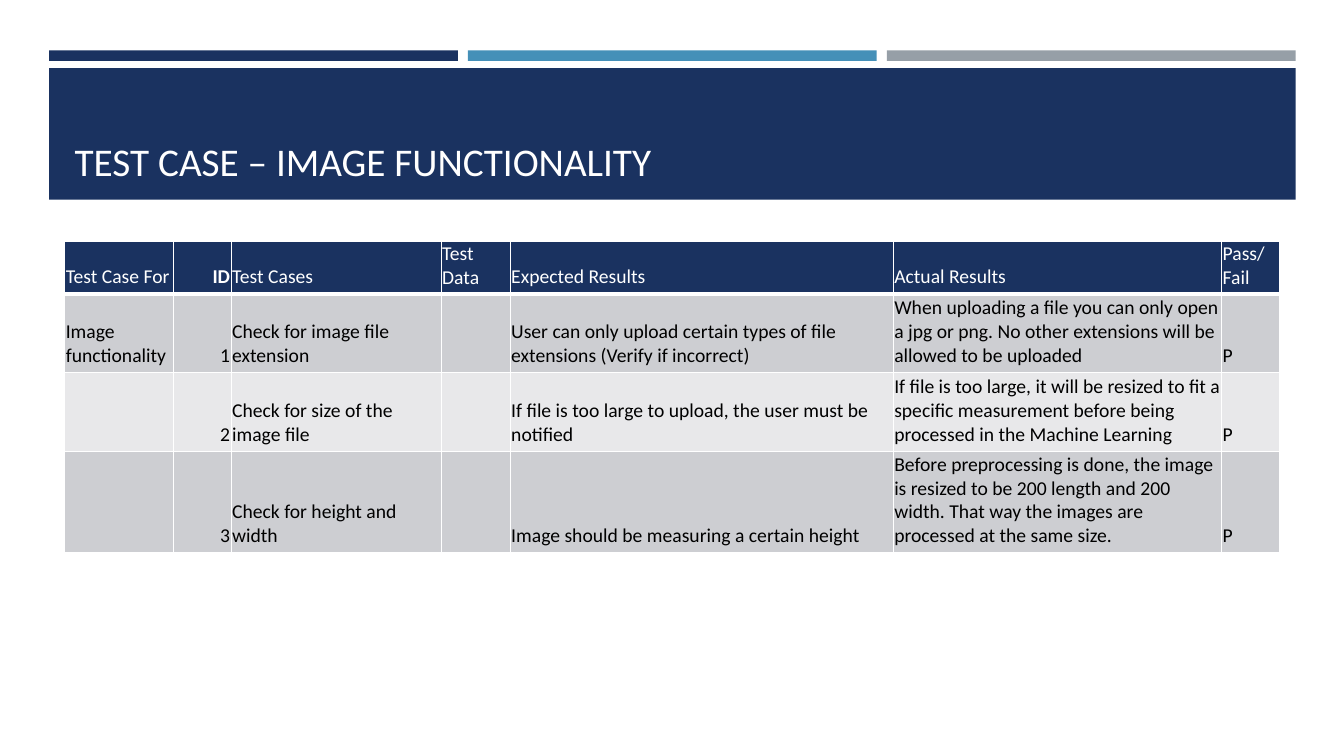
from lxml.etree import SubElement
from pptx import Presentation
from pptx.dml.color import RGBColor
from pptx.enum.shapes import MSO_SHAPE as Shape
from pptx.enum.text import MSO_ANCHOR as Anchor, PP_ALIGN as Align
from pptx.oxml.ns import qn
from pptx.util import Inches, Pt

NAVY, BLUE, GREY, WHITE, BLACK = "1A3260", "4590B8", "969FA7", "FFFFFF", "000000"
ROW_FILLS = [NAVY, "CDCED2", "E8E8EA", "CDCED2"]


def paint(color_format, color):
    color_format.rgb = RGBColor.from_string(color)


def add_rectangle(left, top, width, height, color):
    shape = slide.shapes.add_shape(Shape.RECTANGLE, int(left), int(top), int(width), int(height))
    shape.shadow.inherit = False
    shape.fill.solid()
    paint(shape.fill.fore_color, color)
    shape.line.fill.background()


presentation = Presentation()
presentation.slide_width = Inches(13.33)
presentation.slide_height = Inches(7.5)
slide = presentation.slides.add_slide(presentation.slide_layouts[6])

# Grid: one hundredth of the slide's width and height
across = presentation.slide_width / 100
down = presentation.slide_height / 100

# Three accent bars spanning the title band
band_left, band_width, gap = 3.65 * across, 92.75 * across, 0.75 * across
bar_width = (band_width - 2 * gap) / 3
for index, color in enumerate([NAVY, BLUE, GREY]):
    add_rectangle(band_left + index * (bar_width + gap), 6.67 * down, bar_width, 1.4 * down, color)

# Title band
add_rectangle(band_left, 9 * down, band_width, 17.4 * down, NAVY)
title = slide.shapes.add_textbox(int(4.82 * across), int(10.27 * down),
                                 int(90.4 * across), int(14.8 * down))
title.text_frame.word_wrap = True
title.text_frame.vertical_anchor = Anchor.BOTTOM
run = title.text_frame.paragraphs[0].add_run()
run.text = "TEST CASE – IMAGE FUNCTIONALITY"
run.font.name, run.font.size = "Calibri", Pt(28)
paint(run.font.color, WHITE)

# Test case table
test_cases = [
    ["Test Case For", "ID", "Test Cases", "Test Data", "Expected Results", "Actual Results", "Pass/Fail"],
    ["Image functionality", "1", "Check for image file extension", "",
     "User can only upload certain types of file extensions (Verify if incorrect)",
     "When uploading a file you can only open a jpg or png. "
     "No other extensions will be allowed to be uploaded", "P"],
    ["", "2", "Check for size of the image file", "",
     "If file is too large to upload, the user must be notified",
     "If file is too large, it will be resized to fit a specific measurement "
     "before being processed in the Machine Learning", "P"],
    ["", "3", "Check for height and width", "",
     "Image should be measuring a certain height",
     "Before preprocessing is done, the image is resized to be 200 length and 200 width. "
     "That way the images are processed at the same size.", "P"],
]
column_shares = [8.08, 4.3, 15.63, 5.14, 28.5, 24.44, 4.29]
row_shares = [6.95, 10.4, 10.4, 13.45]
table = slide.shapes.add_table(
    len(row_shares), len(column_shares), int(4.82 * across), int(31.87 * down),
    int(sum(column_shares) * across), int(sum(row_shares) * down)).table
for column, share in zip(table.columns, column_shares):
    column.width = int(share * across)
for row, share in zip(table.rows, row_shares):
    row.height = int(share * down)

for row_index, texts in enumerate(test_cases):
    for column_index, text in enumerate(texts):
        cell = table.cell(row_index, column_index)
        cell.vertical_anchor = Anchor.BOTTOM
        cell.margin_left = cell.margin_right = cell.margin_top = Inches(0.01)
        cell.margin_bottom = Inches(0.05)

        # White borders, thicker around the header's lower edge
        properties = cell._tc.get_or_add_tcPr()
        for side in ["L", "R", "T", "B"]:
            thick = (row_index, side) in [(0, "B"), (1, "T")]
            border = SubElement(properties, qn(f"a:ln{side}"), w=str(Pt(3 if thick else 1)))
            SubElement(SubElement(border, qn("a:solidFill")), qn("a:srgbClr"), val=WHITE)
        cell.fill.solid()
        paint(cell.fill.fore_color, ROW_FILLS[row_index])

        paragraph = cell.text_frame.paragraphs[0]
        paragraph.alignment = Align.RIGHT if column_index == 1 else Align.LEFT
        if text:
            run = paragraph.add_run()
            run.text = text
            run.font.name, run.font.size = "Calibri", Pt(14)
            run.font.bold = text == "ID"
            paint(run.font.color, BLACK if row_index else WHITE)

presentation.save("out.pptx")
